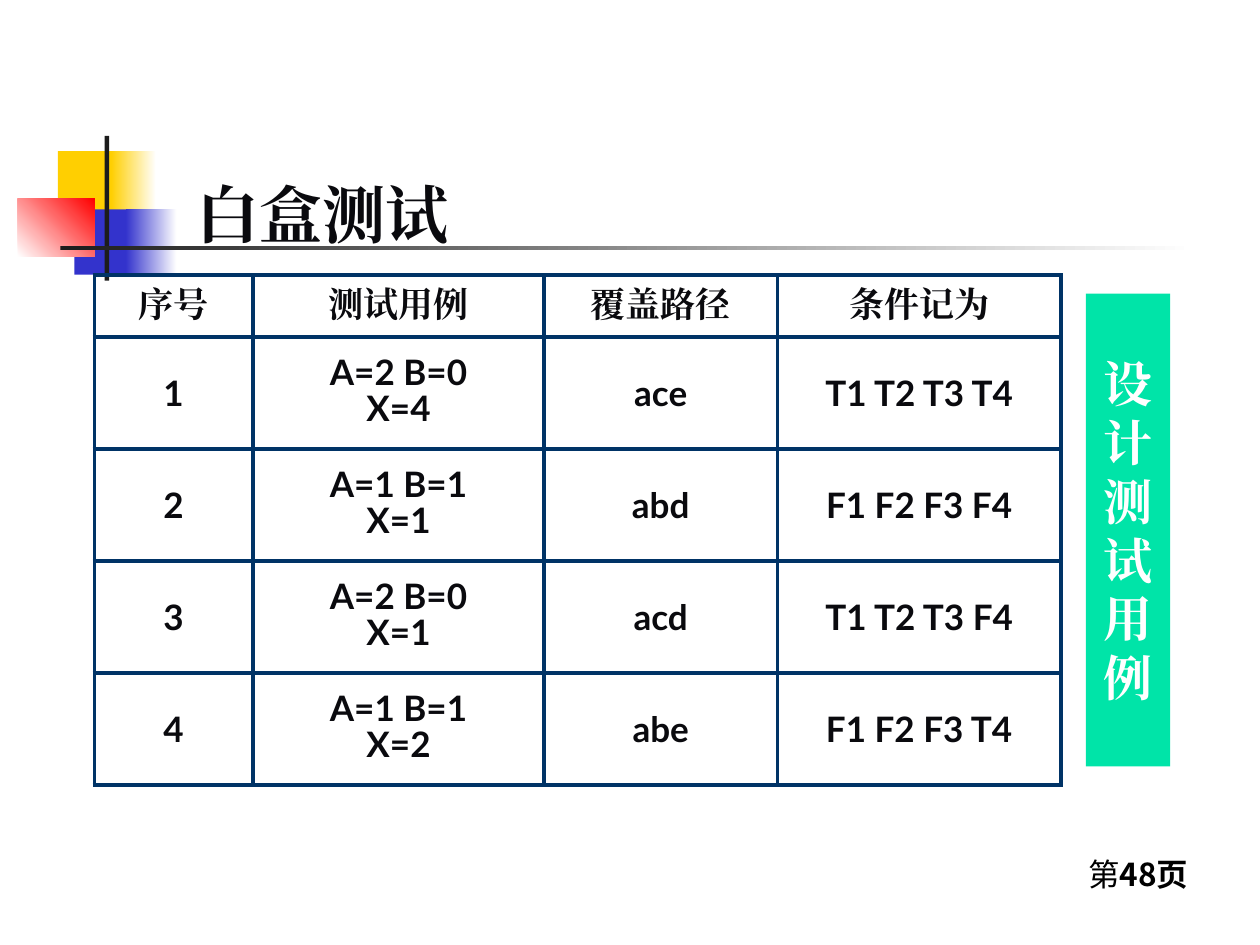
from lxml import etree
from pptx import Presentation
from pptx.dml.color import RGBColor
from pptx.enum import shapes, text
from pptx.oxml.ns import qn
from pptx.util import Cm, Pt

HUES = {
    "gold": "FFCF01", "blue": "3333CC", "red": "FF0000", "dark": "1C1C1C",
    "white": "FFFFFF", "black": "000000", "ink": "0A0A0E",
    "navy": "003366", "mint": "00E4A8",
}
SERIF, SANS, CJK = "Times New Roman", "Lato", "Noto Sans CJK SC"

TITLE = "白盒测试"
SIDE = "设计测试用例"
PAGE = ("第", "48页")
ROWS = [
    ("序号", "测试用例", "覆盖路径", "条件记为"),
    ("1", "A=2 B=0\nX=4", "ace", "T1 T2 T3 T4"),
    ("2", "A=1 B=1\nX=1", "abd", "F1 F2 F3 F4"),
    ("3", "A=2 B=0\nX=1", "acd", "T1 T2 T3 F4"),
    ("4", "A=1 B=1\nX=2", "abe", "F1 F2 F3 T4"),
]
WIDTHS = (3.2, 5.87, 4.7, 5.72)
HEAD, BODY = 1.25, 2.26

DECOR = [
    ((1.17, 3.05, 1.22, 1.32), ("gold",), 0),
    ((2.24, 3.05, 0.91, 1.32), ("gold", "white"), 0),
    ((1.5, 4.22, 1.17, 1.32), ("blue",), 0),
    ((2.54, 4.22, 1.02, 1.32), ("blue", "white"), 0),
    ((0.36, 4.01, 1.55, 1.17), ("white", "red"), 45),
    ((2.11, 2.74, 0.09, 2.92), ("dark",), 0),
    ((1.22, 4.95, 22.86, 0.09), ("dark", "white"), 0),
]


def hue(name):
    return RGBColor.from_string(HUES[name])


def style(run, face, size, color, bold=True):
    font = run.font
    font.name, font.size, font.bold = face, Pt(size), bold
    font.color.rgb = hue(color)
    east = etree.Element(qn("a:ea"), typeface=face)
    run.font._element.find(qn("a:latin")).addnext(east)


def block(slide, box, colors, angle=0):
    shape = slide.shapes.add_shape(shapes.MSO_SHAPE.RECTANGLE, *map(Cm, box))
    shape.shadow.inherit = False
    shape.line.fill.background()
    if len(colors) == 1:
        shape.fill.solid()
        shape.fill.fore_color.rgb = hue(colors[0])
    else:
        shape.fill.gradient()
        shape.fill.gradient_angle = angle
        for stop, color in zip(shape.fill.gradient_stops, colors):
            stop.color.rgb = hue(color)
    return shape


def border(cell):
    props = cell._tc.get_or_add_tcPr()
    for spot, side in enumerate(("lnL", "lnR", "lnT", "lnB")):
        line = etree.Element(qn(f"a:{side}"), w=str(Pt(2.25)))
        fill = etree.SubElement(line, qn("a:solidFill"))
        etree.SubElement(fill, qn("a:srgbClr"), val=HUES["navy"])
        props.insert(spot, line)


def grid(slide):
    high = HEAD + BODY * (len(ROWS) - 1)
    box = (1.9, 5.54, sum(WIDTHS), high)
    table = slide.shapes.add_table(len(ROWS), len(WIDTHS), *map(Cm, box)).table
    table.first_row = table.horz_banding = False
    for col, width in zip(table.columns, WIDTHS):
        col.width = Cm(width)
    for r, words in enumerate(ROWS):
        table.rows[r].height = Cm(BODY if r else HEAD)
        for c, word in enumerate(words):
            cell = table.cell(r, c)
            cell.fill.background()
            border(cell)
            cell.vertical_anchor = text.MSO_ANCHOR.MIDDLE
            cell.text_frame.text = word
            for para in cell.text_frame.paragraphs:
                para.alignment = text.PP_ALIGN.CENTER
                if "\n" in word:
                    para.line_spacing = 0.85
                style(para.runs[0], SANS if r else SERIF, 20, "ink")


def main():
    deck = Presentation()
    deck.slide_width, deck.slide_height = Cm(25.4), Cm(19.05)
    slide = deck.slides.add_slide(deck.slide_layouts[5])
    for box, colors, angle in DECOR:
        block(slide, box, colors, angle)

    note = slide.shapes.add_textbox(*map(Cm, (21.69, 17.12, 2.74, 1.02)))
    note.text_frame.word_wrap = True
    para = note.text_frame.paragraphs[0]
    for part, bold in zip(PAGE, (False, True)):
        run = para.add_run()
        run.text = part
        style(run, CJK, 18, "black", bold)

    grid(slide)

    title = slide.shapes.title
    title.left, title.top, title.width, title.height = map(Cm, (3.71, 2.31, 18.01, 2.87))
    frame = title.text_frame
    frame.text = TITLE
    frame.auto_size = text.MSO_AUTO_SIZE.NONE
    frame.vertical_anchor = text.MSO_ANCHOR.BOTTOM
    frame.paragraphs[0].alignment = text.PP_ALIGN.LEFT
    style(frame.paragraphs[0].runs[0], SERIF, 36, "ink")
    title.element.getparent().append(title.element)

    side = block(slide, (21.89, 5.92, 1.7, 9.53), ("mint",))
    frame = side.text_frame
    frame.text = SIDE
    frame.word_wrap = True
    frame.vertical_anchor = text.MSO_ANCHOR.MIDDLE
    frame.paragraphs[0].alignment = text.PP_ALIGN.CENTER
    style(frame.paragraphs[0].runs[0], SERIF, 28, "white")

    deck.save("out.pptx")


if __name__ == "__main__":
    main()
